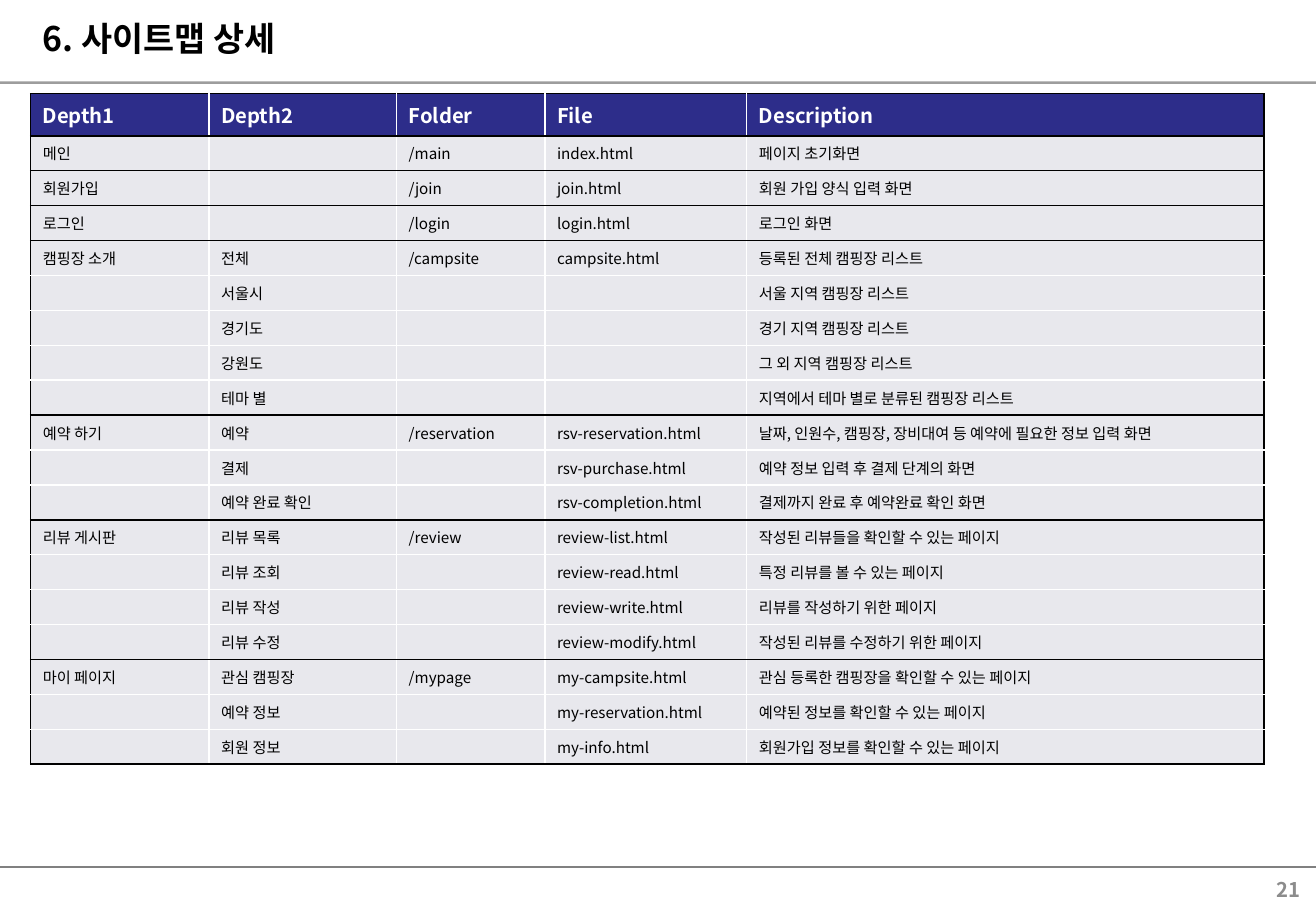
from dataclasses import dataclass

from lxml.etree import SubElement
from pptx import Presentation
from pptx.dml.color import RGBColor
from pptx.enum.shapes import MSO_CONNECTOR as Connector
from pptx.enum.text import MSO_ANCHOR as Anchor, PP_ALIGN as Align
from pptx.oxml.ns import qn
from pptx.util import Cm, Pt


@dataclass(frozen=True)
class Theme:
    """Colours, font and type sizes of the site map slide."""
    font: str = "Noto Sans CJK KR"
    ink: str = "000000"
    paper: str = "FFFFFF"
    header: str = "2D2D8A"
    body: str = "E8E8ED"
    rule: str = "808080"
    page: str = "8C8C8C"
    title_size: float = 20
    header_size: float = 12
    body_size: float = 9


SLIDE_WIDTH, SLIDE_HEIGHT = 27.51, 19.05
COLUMN_WIDTHS = [3.73, 3.92, 3.1, 4.22, 10.81]
HEADER_HEIGHT, ROW_HEIGHT = 0.88, 0.73
SITEMAP = [
    ("Depth1", "Depth2", "Folder", "File", "Description"),
    ("메인", "", "/main", "index.html", "페이지 초기화면"),
    ("회원가입", "", "/join", "join.html", "회원 가입 양식 입력 화면"),
    ("로그인", "", "/login", "login.html", "로그인 화면"),
    ("캠핑장 소개", "전체", "/campsite", "campsite.html", "등록된 전체 캠핑장 리스트"),
    ("", "서울시", "", "", "서울 지역 캠핑장 리스트"),
    ("", "경기도", "", "", "경기 지역 캠핑장 리스트"),
    ("", "강원도", "", "", "그 외 지역 캠핑장 리스트"),
    ("", "테마 별", "", "", "지역에서 테마 별로 분류된 캠핑장 리스트"),
    ("예약 하기", "예약", "/reservation", "rsv-reservation.html",
     "날짜, 인원수, 캠핑장, 장비대여 등 예약에 필요한 정보 입력 화면"),
    ("", "결제", "", "rsv-purchase.html", "예약 정보 입력 후 결제 단계의 화면"),
    ("", "예약 완료 확인", "", "rsv-completion.html", "결제까지 완료 후 예약완료 확인 화면"),
    ("리뷰 게시판", "리뷰 목록", "/review", "review-list.html", "작성된 리뷰들을 확인할 수 있는 페이지"),
    ("", "리뷰 조회", "", "review-read.html", "특정 리뷰를 볼 수 있는 페이지"),
    ("", "리뷰 작성", "", "review-write.html", "리뷰를 작성하기 위한 페이지"),
    ("", "리뷰 수정", "", "review-modify.html", "작성된 리뷰를 수정하기 위한 페이지"),
    ("마이 페이지", "관심 캠핑장", "/mypage", "my-campsite.html", "관심 등록한 캠핑장을 확인할 수 있는 페이지"),
    ("", "예약 정보", "", "my-reservation.html", "예약된 정보를 확인할 수 있는 페이지"),
    ("", "회원 정보", "", "my-info.html", "회원가입 정보를 확인할 수 있는 페이지"),
]


class SlideBuilder:
    """Draws styled elements on the current slide."""

    def __init__(self, slide, theme):
        self.slide = slide
        self.theme = theme

    def set_text(self, frame, text, size, color, bold=False, align=Align.LEFT):
        """Fill a text frame with one styled paragraph."""
        frame.text = text
        paragraph = frame.paragraphs[0]
        paragraph.alignment = align
        for run in paragraph.runs:
            run.font.size, run.font.bold = Pt(size), bold
            run.font.name = self.theme.font
            run.font.color.rgb = RGBColor.from_string(color)
            east_asian = SubElement(run.font._element, qn("a:ea"))
            east_asian.set("typeface", self.theme.font)
        if not text:
            SubElement(paragraph._p, qn("a:endParaRPr")).set("sz", str(int(size * 100)))

    def label(self, box, text, size, color, align=Align.LEFT):
        """Add a bold line of text, centred vertically in its box."""
        frame = self.slide.shapes.add_textbox(*map(Cm, box)).text_frame
        frame.word_wrap = True
        frame.vertical_anchor = Anchor.MIDDLE
        self.set_text(frame, text, size, color, True, align)

    def rule(self, top, weight, opacity=100):
        """Add a horizontal line across the slide."""
        line = self.slide.shapes.add_connector(
            Connector.STRAIGHT, 0, Cm(top), Cm(SLIDE_WIDTH), Cm(top))
        line.line.width = Pt(weight)
        line.line.color.rgb = RGBColor.from_string(self.theme.rule)
        properties = line._element.spPr
        if opacity < 100:
            color = next(properties.iter(qn("a:srgbClr")))
            SubElement(color, qn("a:alpha")).set("val", str(opacity * 1000))
        SubElement(properties, qn("a:effectLst"))

    def borders(self, cell, colors):
        """Set the left, right, top and bottom borders of a cell."""
        properties = cell._tc.get_or_add_tcPr()
        for position, (side, color) in enumerate(zip("LRTB", colors)):
            edge = SubElement(properties, qn(f"a:ln{side}"), w=str(Pt(1)))
            fill = SubElement(edge, qn("a:solidFill"))
            SubElement(fill, qn("a:srgbClr")).set("val", color)
            properties.insert(position, edge)

    def table(self, left, top, rows):
        """Add the table, with a dark line above each new group."""
        theme = self.theme
        heights = [HEADER_HEIGHT] + [ROW_HEIGHT] * (len(rows) - 1)
        table = self.slide.shapes.add_table(
            len(rows), len(COLUMN_WIDTHS), Cm(left), Cm(top),
            Cm(sum(COLUMN_WIDTHS)), Cm(sum(heights))).table
        table.horz_banding = False
        for column, width in zip(table.columns, COLUMN_WIDTHS):
            column.width = Cm(width)
        for row, height in zip(table.rows, heights):
            row.height = Cm(height)

        across = [theme.ink if row[0] else theme.paper for row in rows] + [theme.ink]
        down = [theme.ink] + [theme.paper] * (len(COLUMN_WIDTHS) - 1) + [theme.ink]
        for r, row in enumerate(rows):
            fill, size, color = ((theme.body, theme.body_size, theme.ink) if r else
                                 (theme.header, theme.header_size, theme.paper))
            for c, text in enumerate(row):
                cell = table.cell(r, c)
                cell.vertical_anchor = Anchor.MIDDLE
                cell.fill.solid()
                cell.fill.fore_color.rgb = RGBColor.from_string(fill)
                self.set_text(cell.text_frame, text, size, color, bold=r == 0)
                self.borders(cell, (*down[c:c + 2], *across[r:r + 2]))


def main():
    """Build the site map slide and save it."""
    deck = Presentation()
    deck.slide_width, deck.slide_height = Cm(SLIDE_WIDTH), Cm(SLIDE_HEIGHT)
    theme = Theme()
    builder = SlideBuilder(deck.slides.add_slide(deck.slide_layouts[6]), theme)
    builder.rule(18.13, 0.75)
    builder.rule(1.73, 1.5, opacity=76)
    builder.label((0.64, 0.17, 26.49, 1.24), "6. 사이트맵 상세", theme.title_size, theme.ink)
    builder.label((21.23, 18.21, 6.2, 0.79), "21", theme.header_size, theme.page, Align.RIGHT)
    builder.table(0.64, 1.96, SITEMAP)
    deck.save("out.pptx")


if __name__ == "__main__":
    main()
